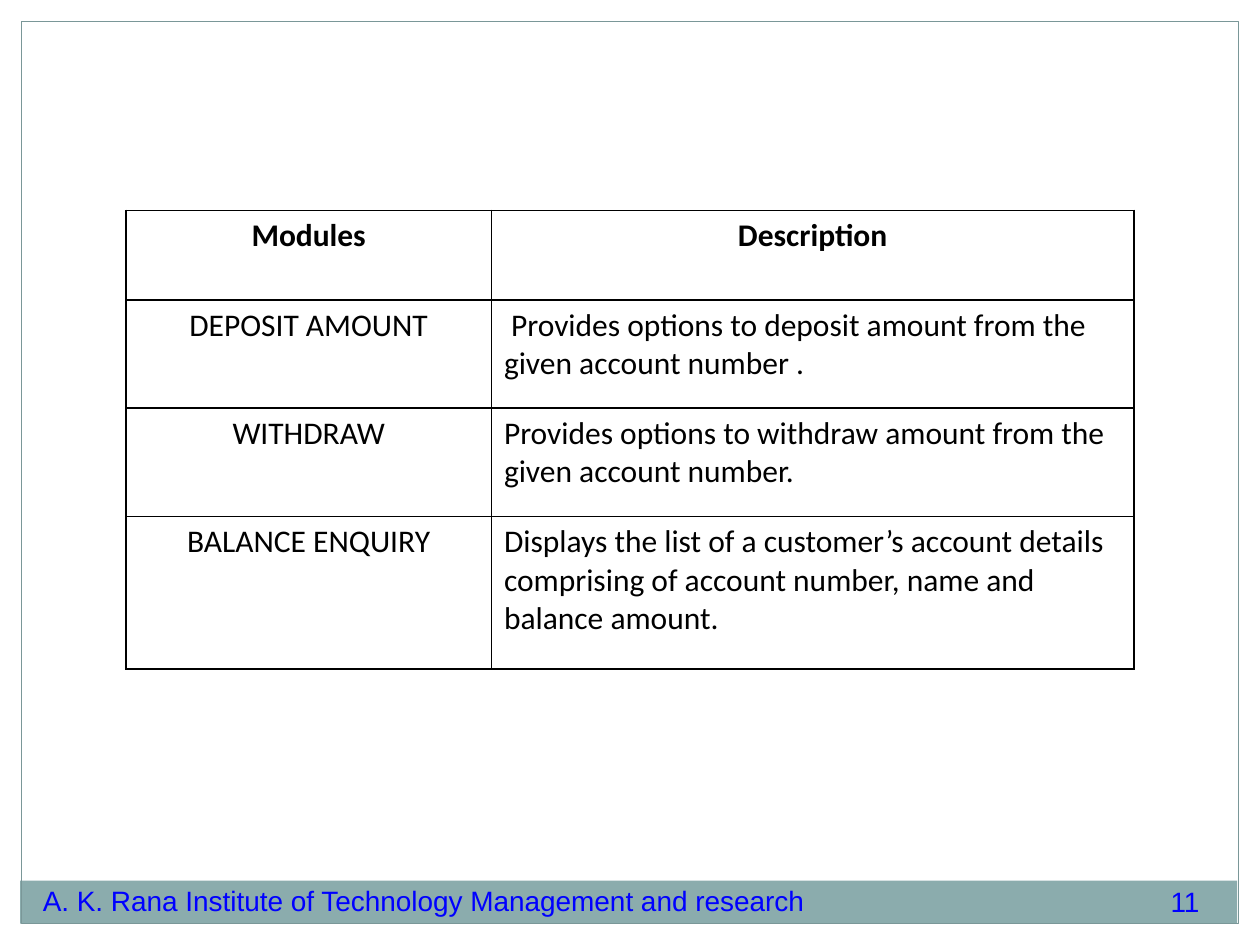
from lxml.etree import SubElement
from pptx import Presentation
from pptx.dml.color import RGBColor
from pptx.enum.shapes import MSO_SHAPE
from pptx.enum.text import PP_ALIGN
from pptx.oxml.ns import qn
from pptx.util import Inches, Pt

INSTITUTE = "A. K. Rana Institute of Technology Management and research"
PAGE_NUMBER = "11"
MODULES = [
    ("Modules", "Description"),
    ("DEPOSIT AMOUNT", " Provides options to deposit amount from the given account number ."),
    ("WITHDRAW", "Provides options to withdraw amount from the given account number."),
    ("BALANCE ENQUIRY", "Displays the list of a customer’s account details comprising of "
                        "account number, name and balance amount."),
]
COLUMN_WIDTHS = [2.9, 5.1]
ROW_HEIGHTS = [0.71, 0.86, 0.86, 1.21]


def color(hex_code):
    """Return the colour for a hex string."""
    return RGBColor.from_string(hex_code)


def style_runs(paragraph, font_name, size, hex_code, bold=False):
    """Format every run of a paragraph."""
    for run in paragraph.runs:
        run.font.name = font_name
        run.font.size = Pt(size)
        run.font.bold = bold
        run.font.color.rgb = color(hex_code)


def add_box(slide, left, top, width, height):
    """Add a rectangle without shadow."""
    box = slide.shapes.add_shape(
        MSO_SHAPE.RECTANGLE, Inches(left), Inches(top), Inches(width), Inches(height))
    box.shadow.inherit = False
    return box


def add_footer_text(slide, text, left, top, width, height, line_points):
    """Add one line of footer text without insets."""
    frame = slide.shapes.add_textbox(
        Inches(left), Inches(top), Inches(width), Inches(height)).text_frame
    frame.word_wrap = True
    frame.margin_left = frame.margin_right = frame.margin_top = frame.margin_bottom = 0
    frame.text = text
    frame.paragraphs[0].line_spacing = Pt(line_points)
    style_runs(frame.paragraphs[0], "Arial", 16, "0000FF")


def add_footer(slide, left, top, width, height):
    """Add the footer band with institute name and page number."""
    band = add_box(slide, left, top, width, height)
    band.fill.solid()
    band.fill.fore_color.rgb = color("8BACAD")
    band.line.fill.background()
    add_footer_text(slide, INSTITUTE, left + 0.18, top + 0.09, 7.5, 0.2, 14.2)
    add_footer_text(slide, PAGE_NUMBER, left + width - 0.53, top + 0.04, 0.33, 0.28, 18.7)


def add_frame(slide, left, top, width, height):
    """Add the thin outline around the slide."""
    outline = add_box(slide, left, top, width, height)
    outline.fill.background()
    outline.line.color.rgb = color("7A9798")
    outline.line.width = Pt(0.75)


def add_borders(cell, hex_code, points):
    """Draw a solid line on all four sides of a cell."""
    properties = cell._tc.get_or_add_tcPr()
    for side in ("a:lnL", "a:lnR", "a:lnT", "a:lnB"):
        line = SubElement(properties, qn(side), w=str(Pt(points)))
        fill = SubElement(line, qn("a:solidFill"))
        SubElement(fill, qn("a:srgbClr"), val=hex_code)


def add_modules_table(slide, left, top):
    """Add the table of modules and their descriptions."""
    table = slide.shapes.add_table(
        len(MODULES), len(COLUMN_WIDTHS), Inches(left), Inches(top),
        Inches(sum(COLUMN_WIDTHS)), Inches(sum(ROW_HEIGHTS))).table
    for column, width in zip(table.columns, COLUMN_WIDTHS):
        column.width = Inches(width)
    for row_index, (row, height) in enumerate(zip(table.rows, ROW_HEIGHTS)):
        row.height = Inches(height)
        is_header = row_index == 0
        for column_index, cell in enumerate(row.cells):
            cell.text_frame.text = MODULES[row_index][column_index]
            paragraph = cell.text_frame.paragraphs[0]
            centred = is_header or column_index == 0
            paragraph.alignment = PP_ALIGN.CENTER if centred else PP_ALIGN.LEFT
            style_runs(paragraph, "Calibri", 18, "000000", is_header)
            add_borders(cell, "000000", 1)
            cell.fill.background()


def main():
    """Build the slide and save it."""
    presentation = Presentation()
    presentation.slide_width = Inches(10)
    presentation.slide_height = Inches(7.5)
    slide = presentation.slides.add_slide(presentation.slide_layouts[6])
    add_footer(slide, 0.16, 6.99, 9.66, 0.34)
    add_frame(slide, 0.17, 0.17, 9.66, 7.16)
    add_modules_table(slide, 1, 1.67)
    presentation.save("out.pptx")


if __name__ == "__main__":
    main()
